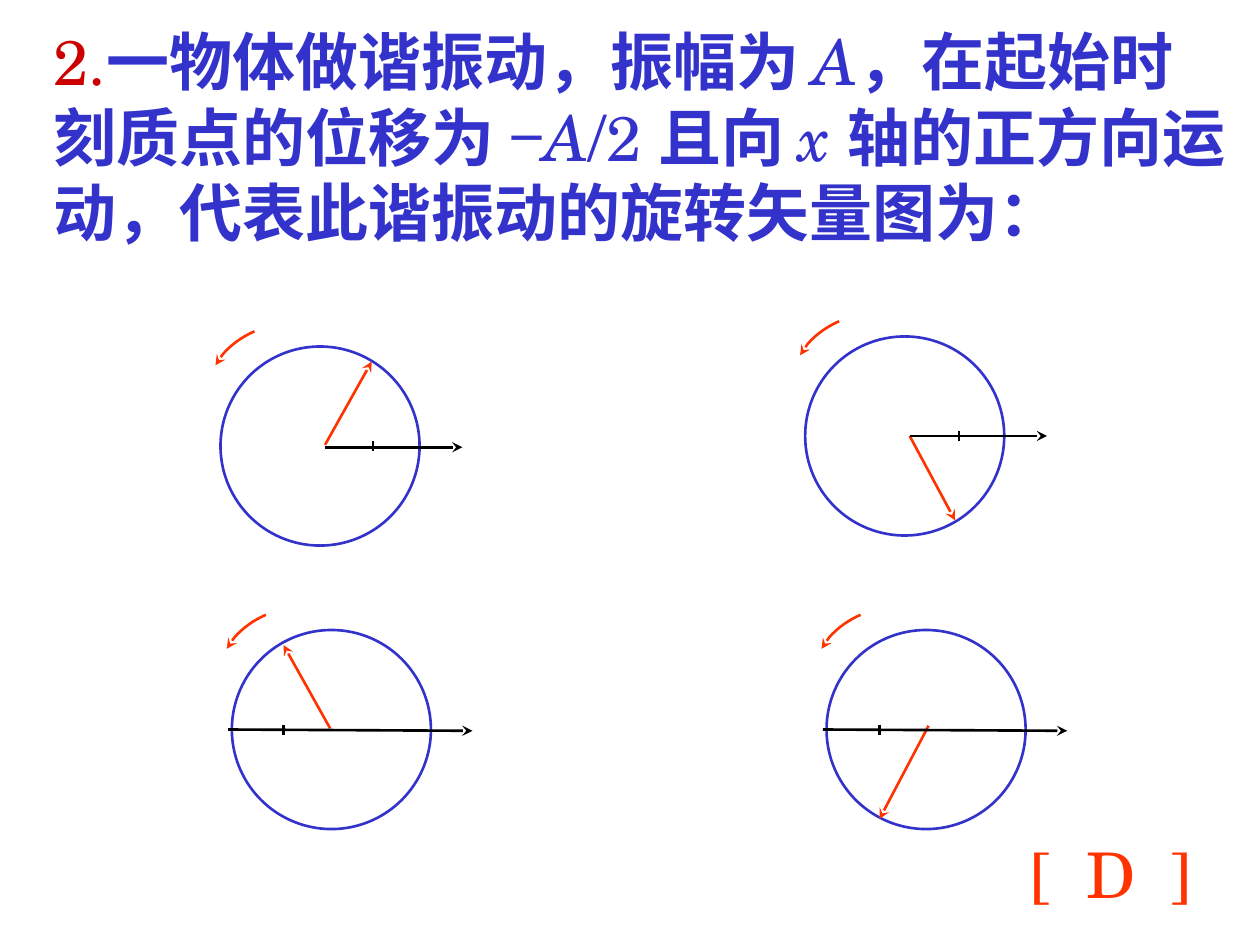
import pptx
import pptx.dml.color
import pptx.enum.shapes
import pptx.oxml.ns
import pptx.util
from lxml import etree

Inches = pptx.util.Inches
SERIF = "TeX Gyre Schola"
BLUE, RED, ORANGE, BLACK = "3333CC", "CC0000", "FF3300", "000000"
SWEEP_CURVES = [
    [(0.27, -0.12), (0.18, -0.08), (0.09, -0.02), (0.02, 0.06)],
    [(0.02, 0.06), (0, 0.09), (-0.02, 0.12), (-0.04, 0.15)],
]


def color(value):
    """Turn a hex string into a colour."""
    return pptx.dml.color.RGBColor.from_string(value)


def style_line(shape, value, arrow=False):
    """Give a shape or connector its outline, without shadow."""
    shape.line.color.rgb = color(value)
    shape.line.width = pptx.util.Pt(1.5)
    if arrow:
        tail = etree.SubElement(shape.line._get_or_add_ln(), pptx.oxml.ns.qn("a:tailEnd"))
        tail.set("type", "stealth")
    properties = shape._element.spPr
    if properties.find(pptx.oxml.ns.qn("a:effectLst")) is None:
        etree.SubElement(properties, pptx.oxml.ns.qn("a:effectLst"))


def add_line(shapes, left, top, start, end, value, arrow=False):
    """Draw a straight line between two points relative to a corner."""
    line = shapes.add_connector(
        pptx.enum.shapes.MSO_CONNECTOR.STRAIGHT,
        Inches(left + start[0]), Inches(top + start[1]),
        Inches(left + end[0]), Inches(top + end[1]))
    style_line(line, value, arrow)


def curve_points(curve, steps=8):
    """List the points along a cubic curve."""
    points = []
    for step in range(steps + 1):
        t = step / steps
        weights = ((1 - t) ** 3, 3 * t * (1 - t) ** 2, 3 * t ** 2 * (1 - t), t ** 3)
        points.append(tuple(sum(w * p[axis] for w, p in zip(weights, curve)) for axis in (0, 1)))
    return points


def add_sweep(shapes, left, top):
    """Draw the curved arrow that shows the sense of rotation."""
    points = [(Inches(left + x), Inches(top + y))
              for curve in SWEEP_CURVES for x, y in curve_points(curve)]
    builder = shapes.build_freeform(*points[0], scale=1.0)
    builder.add_line_segments(points[1:], close=False)
    sweep = builder.convert_to_shape()
    sweep.fill.background()
    style_line(sweep, ORANGE, arrow=True)


def add_diagram(page, left, top, vector, axis, tick, size=1.58):
    """Draw one rotating vector diagram as a group."""
    shapes = page.shapes.add_group_shape().shapes
    circle = shapes.add_shape(pptx.enum.shapes.MSO_SHAPE.OVAL, Inches(left),
                              Inches(top), Inches(size), Inches(size))
    circle.fill.background()
    style_line(circle, BLUE)
    add_line(shapes, left, top, *vector, ORANGE, arrow=True)
    add_line(shapes, left, top, *axis, BLACK, arrow=True)
    add_sweep(shapes, left, top)
    add_line(shapes, left, top, (tick, 0.75), (tick, 0.83), BLACK)


def add_text(page, left, top, width, height, spans, wrap=True):
    """Write one paragraph of styled spans in a box."""
    box = page.shapes.add_textbox(Inches(left), Inches(top), Inches(width), Inches(height))
    box.text_frame.word_wrap = wrap
    para = box.text_frame.paragraphs[0]
    para.font.size = pptx.util.Pt(36)
    for text, value, bold, italic, font in spans:
        span = para.add_run()
        span.text = text
        span.font.name = font
        span.font.bold = bold
        span.font.italic = italic
        span.font.color.rgb = color(value)


def add_question(page, left, top, width, height):
    """Write the question at the top of the page."""
    add_text(page, left, top, width, height, [
        ("2.", RED, False, False, SERIF),
        ("一物体做谐振动，振幅为 ", BLUE, True, False, SERIF),
        ("A", BLUE, False, True, SERIF),
        ("，在起始时刻质点的位移为 ", BLUE, True, False, SERIF),
        ("−", BLUE, False, False, "Arial"),
        ("A", BLUE, False, True, SERIF),
        ("/2 ", BLUE, False, False, SERIF),
        ("且向 ", BLUE, True, False, SERIF),
        ("x ", BLUE, False, True, SERIF),
        ("轴的正方向运动，代表此谐振动的旋转矢量图为：", BLUE, True, False, SERIF),
    ])


def main():
    """Build the page and save it."""
    deck = pptx.Presentation()
    deck.slide_width, deck.slide_height = Inches(10), Inches(7.5)
    page = deck.slides.add_slide(deck.slide_layouts[6])
    add_question(page, 0.33, 0.13, 9.5, 1.92)
    diagrams = [
        (1.75, 2.75, ((0.83, 0.78), (1.2, 0.12)), ((0.83, 0.8), (1.92, 0.8)), 1.21),
        (6.39, 2.67, ((0.83, 0.79), (1.19, 1.46)), ((0.83, 0.79), (1.92, 0.79)), 1.22),
        (1.84, 5, ((0.78, 0.78), (0.41, 0.12)), ((-0.03, 0.79), (1.91, 0.8)), 0.41),
        (6.56, 5, ((0.81, 0.76), (0.42, 1.5)), ((-0.03, 0.79), (1.91, 0.8)), 0.42),
    ]
    for diagram in diagrams:
        add_diagram(page, *diagram)
    add_text(page, 8.08, 6.58, 1.62, 0.7,
             [("[  D  ]", ORANGE, False, False, SERIF)], wrap=False)
    deck.save("out.pptx")


if __name__ == "__main__":
    main()
